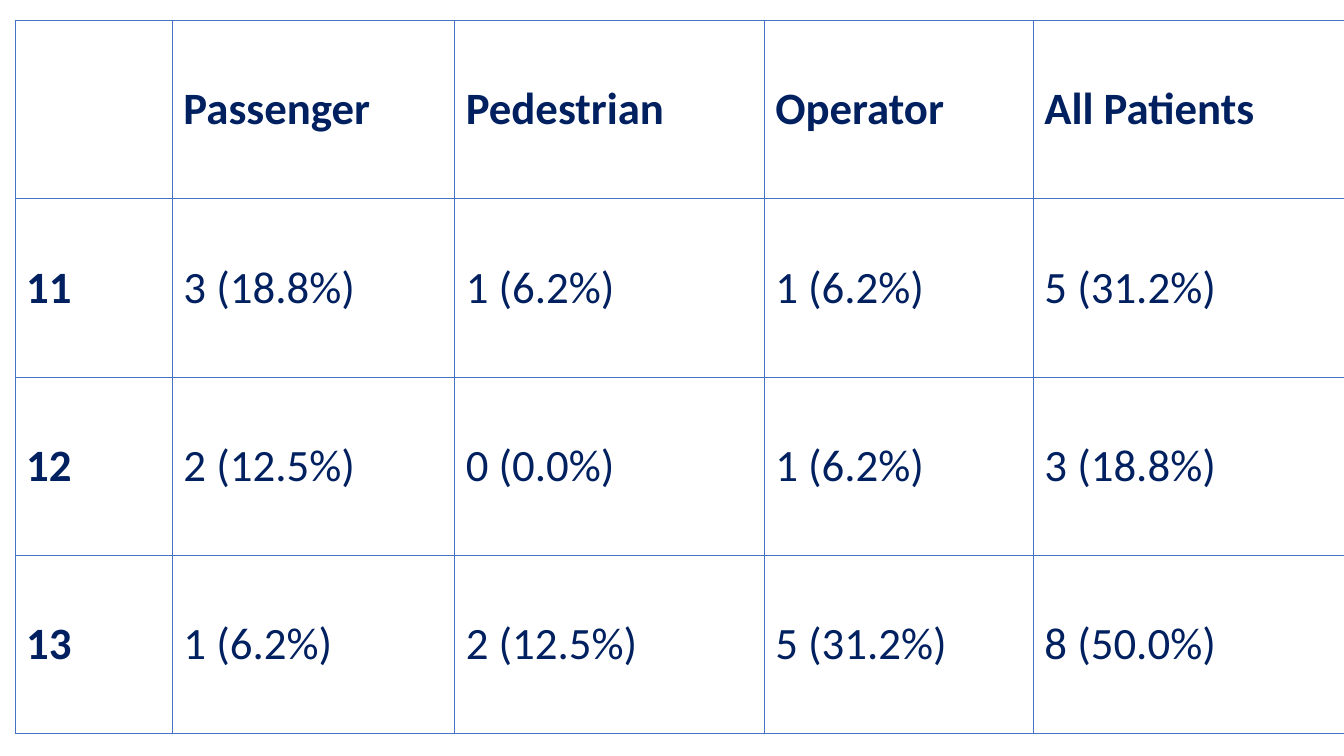
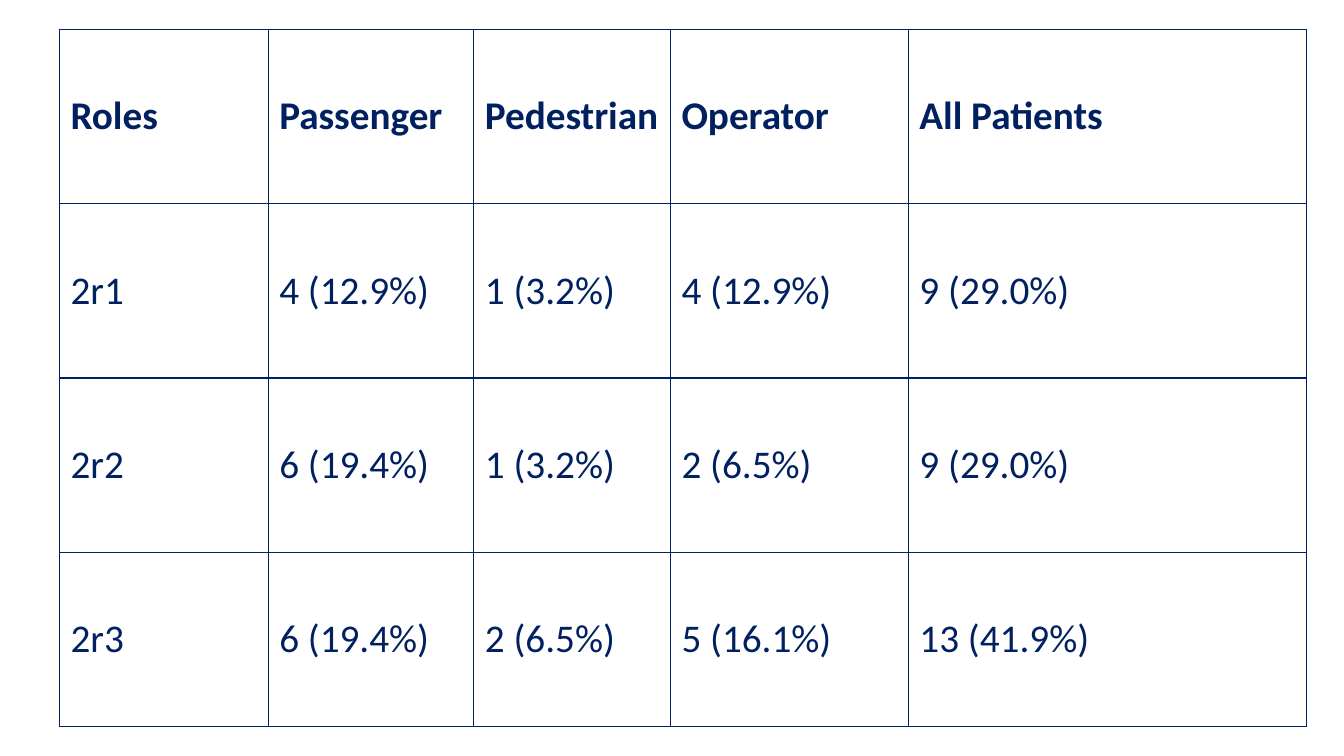
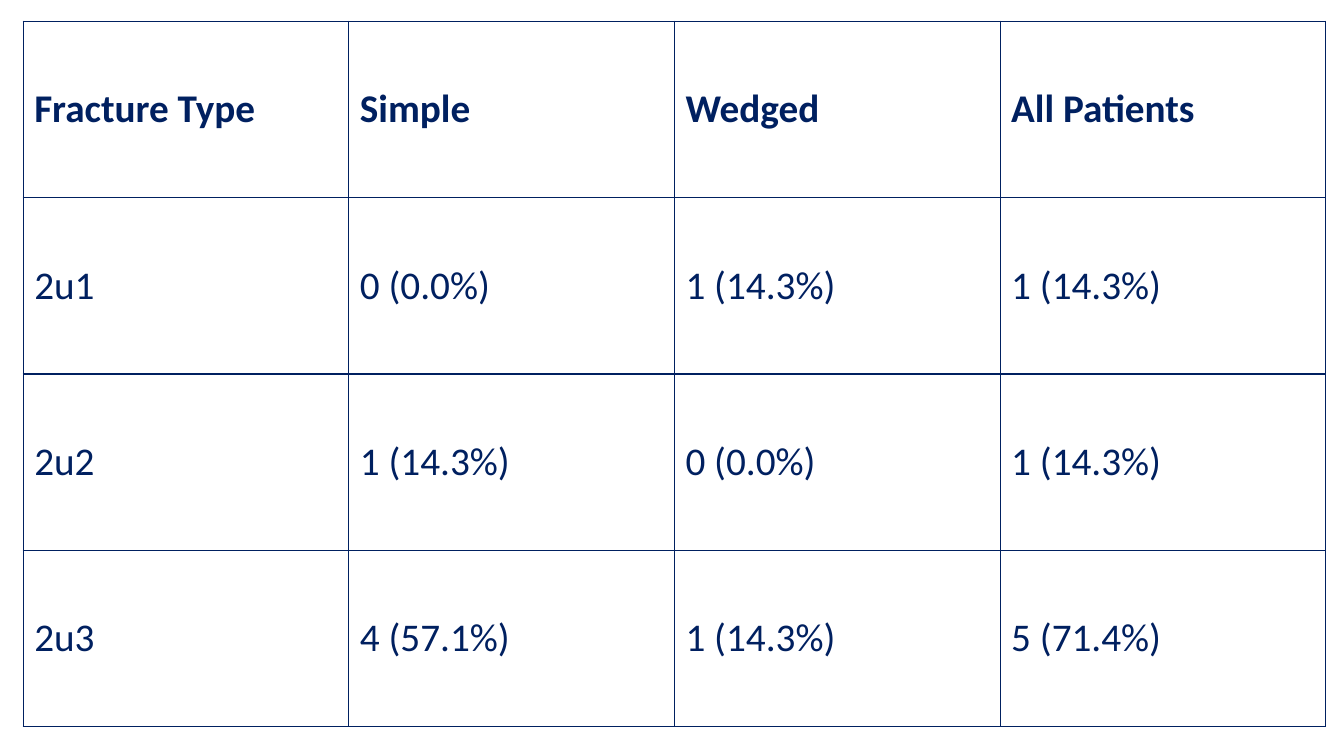
"""Build three slides, each with one table of patient counts."""
from lxml import etree
from pptx import Presentation
from pptx.dml.color import RGBColor
from pptx.enum.text import MSO_ANCHOR
from pptx.oxml.ns import qn
from pptx.util import Inches, Pt

MIDDLE = MSO_ANCHOR.MIDDLE
FONT = "Calibri"
COLORS = {"navy": "002060", "blue": "4472C4", "white": "FFFFFF"}
EDGES = ("a:lnL", "a:lnR", "a:lnT", "a:lnB")

TABLES = [
    {
        "left": 0.15, "top": 0.2, "row": 1.77, "cols": [1.56, 2.8, 3.07, 2.67, 3.09],
        "size": 32, "line": "blue", "width": 0.5, "labels": True,
        "rows": [
            ["", "Passenger", "Pedestrian", "Operator", "All Patients"],
            ["11", "3 (18.8%)", "1 (6.2%)", "1 (6.2%)", "5 (31.2%)"],
            ["12", "2 (12.5%)", "0 (0.0%)", "1 (6.2%)", "3 (18.8%)"],
            ["13", "1 (6.2%)", "2 (12.5%)", "5 (31.2%)", "8 (50.0%)"],
        ],
    },
    {
        "left": 0.59, "top": 0.29, "row": 1.73, "cols": [2.07, 2.04, 1.95, 2.36, 3.95],
        "size": 28, "line": "navy", "width": 1, "labels": False,
        "rows": [
            ["Roles", "Passenger", "Pedestrian", "Operator", "All Patients"],
            ["2r1", "4 (12.9%)", "1 (3.2%)", "4 (12.9%)", "9 (29.0%)"],
            ["2r2", "6 (19.4%)", "1 (3.2%)", "2 (6.5%)", "9 (29.0%)"],
            ["2r3", "6 (19.4%)", "2 (6.5%)", "5 (16.1%)", "13 (41.9%)"],
        ],
    },
    {
        "left": 0.23, "top": 0.21, "row": 1.75, "cols": [3.23] * 4,
        "size": 28, "line": "navy", "width": 1, "labels": False,
        "rows": [
            ["Fracture Type", "Simple", "Wedged", "All Patients"],
            ["2u1", "0 (0.0%)", "1 (14.3%)", "1 (14.3%)"],
            ["2u2", "1 (14.3%)", "0 (0.0%)", "1 (14.3%)"],
            ["2u3", "4 (57.1%)", "1 (14.3%)", "5 (71.4%)"],
        ],
    },
]


def add_borders(cell, color, width):
    props = cell._tc.get_or_add_tcPr()
    for edge in EDGES:
        line = etree.SubElement(props, qn(edge), w=str(Pt(width)))
        fill = etree.SubElement(line, qn("a:solidFill"))
        etree.SubElement(fill, qn("a:srgbClr"), val=color)


def fill_cell(cell, text, size, bold):
    cell.fill.solid()
    cell.fill.fore_color.rgb = RGBColor.from_string(COLORS["white"])
    cell.vertical_anchor = MIDDLE
    cell.margin_left = cell.margin_right = Inches(0.11)
    cell.margin_top = cell.margin_bottom = Inches(0.05)
    if text:
        run = cell.text_frame.paragraphs[0].add_run()
        run.text = text
        run.font.name = FONT
        run.font.size = Pt(size)
        run.font.bold = bold
        run.font.color.rgb = RGBColor.from_string(COLORS["navy"])


prs = Presentation()
prs.slide_width = Inches(13.33)
prs.slide_height = Inches(7.5)
blank = prs.slide_layouts[6]

for data in TABLES:
    slide = prs.slides.add_slide(blank)
    rows, cols = data["rows"], data["cols"]
    frame = slide.shapes.add_table(
        len(rows), len(cols), Inches(data["left"]), Inches(data["top"]),
        Inches(sum(cols)), Inches(data["row"] * len(rows)))
    table = frame.table
    table.first_row = False
    table.horz_banding = False
    for col, width in zip(table.columns, cols):
        col.width = Inches(width)
    for r, texts in enumerate(rows):
        table.rows[r].height = Inches(data["row"])
        for c, text in enumerate(texts):
            cell = table.cell(r, c)
            bold = r == 0 or (c == 0 and data["labels"])
            add_borders(cell, COLORS[data["line"]], data["width"])
            fill_cell(cell, text, data["size"], bold)

prs.save("out.pptx")
